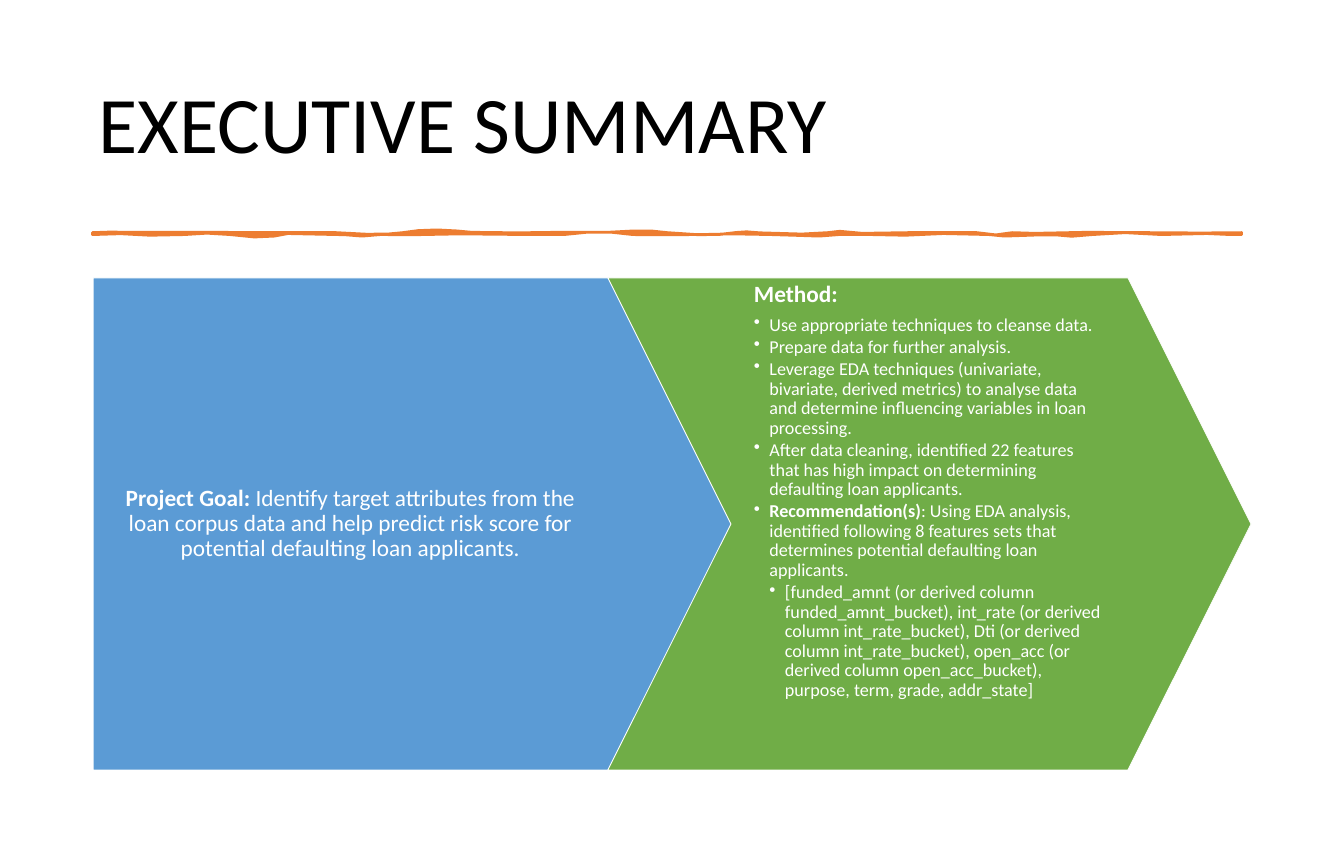
from dataclasses import dataclass

from lxml import etree
from pptx import Presentation
from pptx.dml.color import RGBColor
from pptx.enum.shapes import MSO_SHAPE
from pptx.enum.text import MSO_ANCHOR, PP_ALIGN
from pptx.oxml.ns import qn
from pptx.util import Pt

PLATE, CHEVRON = MSO_SHAPE.PENTAGON, MSO_SHAPE.CHEVRON
TOP, MIDDLE = MSO_ANCHOR.TOP, MSO_ANCHOR.MIDDLE
LEFT, CENTER = PP_ALIGN.LEFT, PP_ALIGN.CENTER


@dataclass(frozen=True)
class Theme:
    font: str = "Calibri"
    black: str = "000000"
    white: str = "FFFFFF"
    blue: str = "5B9BD5"
    green: str = "70AD47"
    orange: str = "ED7D31"
    title: int = 93
    lead: int = 27
    body: int = 21


# Each item: indent level, bold part, plain part
GOAL = [
    (0, "Project Goal: ", "Identify target attributes from the loan corpus data and help "
     "predict risk score for potential defaulting loan applicants."),
]
METHOD = [
    (0, "Method:", ""),
    (1, "", "Use appropriate techniques to cleanse data."),
    (1, "", "Prepare data for further analysis."),
    (1, "", "Leverage EDA techniques (univariate, bivariate, derived metrics) to analyse "
     "data and determine influencing variables in loan processing."),
    (1, "", "After data cleaning, identified 22 features that has high impact on "
     "determining defaulting loan applicants."),
    (1, "Recommendation(s)", ": Using EDA analysis, identified following 8 features sets "
     "that determines potential defaulting loan applicants."),
    (2, "", "[funded_amnt (or derived column funded_amnt_bucket), int_rate (or derived "
     "column int_rate_bucket), Dti (or derived column int_rate_bucket), open_acc (or "
     "derived column open_acc_bucket), purpose, term, grade, addr_state]"),
]

# Hand-drawn rule: left to right along the top, then back along the bottom
RULE = [
    (107.3, 270), (125, 269.4), (240, 269.6), (330, 270), (390, 270), (425, 271.8),
    (450, 271.6), (467, 270), (485, 267.6), (507, 266.8), (530, 268), (547, 269.6),
    (600, 270.2), (654, 269.5), (705, 269.6), (735, 268), (755, 268), (774, 270),
    (810, 272.4), (835, 272), (854, 269.8), (866, 269), (881, 270.2), (930, 271.6),
    (960, 270), (974, 268.4), (1000, 270.8), (1053, 270), (1133, 270), (1155, 272.6),
    (1174, 270), (1200, 270.8), (1260, 269.6), (1333, 270), (1393, 270.4), (1440, 270),
    (1440, 272.2), (1427, 272.2), (1400, 271), (1347, 272.2), (1305, 270), (1267, 272.2),
    (1243, 274.2), (1225, 272.6), (1200, 272.8), (1165, 274), (1147, 272.2), (1094, 271),
    (1050, 273), (1000, 272), (973, 272.2), (950, 274), (920, 273), (894, 272.2),
    (850, 271.4), (814, 272.2), (747, 272.4), (734, 272.2), (710, 269.6), (680, 269.6),
    (654, 272.2), (613, 272.2), (534, 271.4), (480, 272.4), (441, 272.2), (420, 274),
    (400, 272.4), (334, 271), (318, 274), (295, 275), (267, 272.2), (240, 270.6),
    (214, 272.2), (174, 273), (140, 271.2), (107.3, 272.2),
]


class Board:
    def __init__(self, slide, theme):
        self.shapes, self.theme = slide.shapes, theme

    def paint(self, shape, fill, line, width):
        shape.shadow.inherit = False
        shape.fill.solid()
        shape.fill.fore_color.rgb = RGBColor.from_string(fill)
        shape.line.color.rgb = RGBColor.from_string(line)
        shape.line.width = Pt(width)

    def style(self, para, size, color, bold=False):
        para.line_spacing = 0.9
        for run in para.runs:
            run.font.name = self.theme.font
            run.font.size = Pt(size)
            run.font.bold = bold
            run.font.color.rgb = RGBColor.from_string(color)

    def title(self, text, left, top, width, height):
        frame = self.shapes.add_textbox(Pt(left), Pt(top), Pt(width), Pt(height)).text_frame
        frame.word_wrap = True
        frame.vertical_anchor = MIDDLE
        frame.text = text
        self.style(frame.paragraphs[0], self.theme.title, self.theme.black)

    def rule(self, points):
        pen = self.shapes.build_freeform(Pt(points[0][0]), Pt(points[0][1]))
        pen.add_line_segments([(Pt(x), Pt(y)) for x, y in points[1:]], close=True)
        self.paint(pen.convert_to_shape(), self.theme.orange, self.theme.orange, 3.25)

    def bullet(self, para, level):
        para.level = level
        props = para._p.get_or_add_pPr()
        props.set("marL", str(Pt(18 * level)))
        props.set("indent", str(Pt(-18)))
        etree.SubElement(props, qn("a:buChar")).set("char", "•")

    def arrow(self, kind, left, fill, items, anchor, align, right):
        """Draw one step of the process with its text; right is the right inset."""
        shape = self.shapes.add_shape(kind, Pt(left), Pt(322.5), Pt(746), Pt(571))
        shape.adjustments[0] = 0.25
        self.paint(shape, fill, self.theme.white, 1)
        frame = shape.text_frame
        frame.word_wrap = True
        frame.vertical_anchor = anchor
        frame.margin_left, frame.margin_right = Pt(26.67), Pt(right)
        frame.margin_top = frame.margin_bottom = Pt(5)
        for i, (level, strong, plain) in enumerate(items):
            para = frame.add_paragraph() if i else frame.paragraphs[0]
            if level:
                self.bullet(para, level)
            for part in filter(None, (strong, plain)):
                para.add_run().text = part
            para.alignment = align
            para.space_after = Pt(3.15 if level else 9.45)
            self.style(para, self.theme.body if level else self.theme.lead, self.theme.white)
            para.runs[0].font.bold = bool(strong)


def main():
    deck = Presentation()
    deck.slide_width, deck.slide_height = Pt(1558.8), Pt(992.16)
    theme = Theme()
    board = Board(deck.slides.add_slide(deck.slide_layouts[6]), theme)
    board.title("EXECUTIVE SUMMARY", 107.3, 52.6, 1345, 191.5)
    board.rule(RULE)
    board.arrow(PLATE, 108, theme.blue, GOAL, MIDDLE, CENTER, 105)
    board.arrow(CHEVRON, 705, theme.green, METHOD, TOP, LEFT, 26.67)
    deck.save("out.pptx")


if __name__ == "__main__":
    main()
